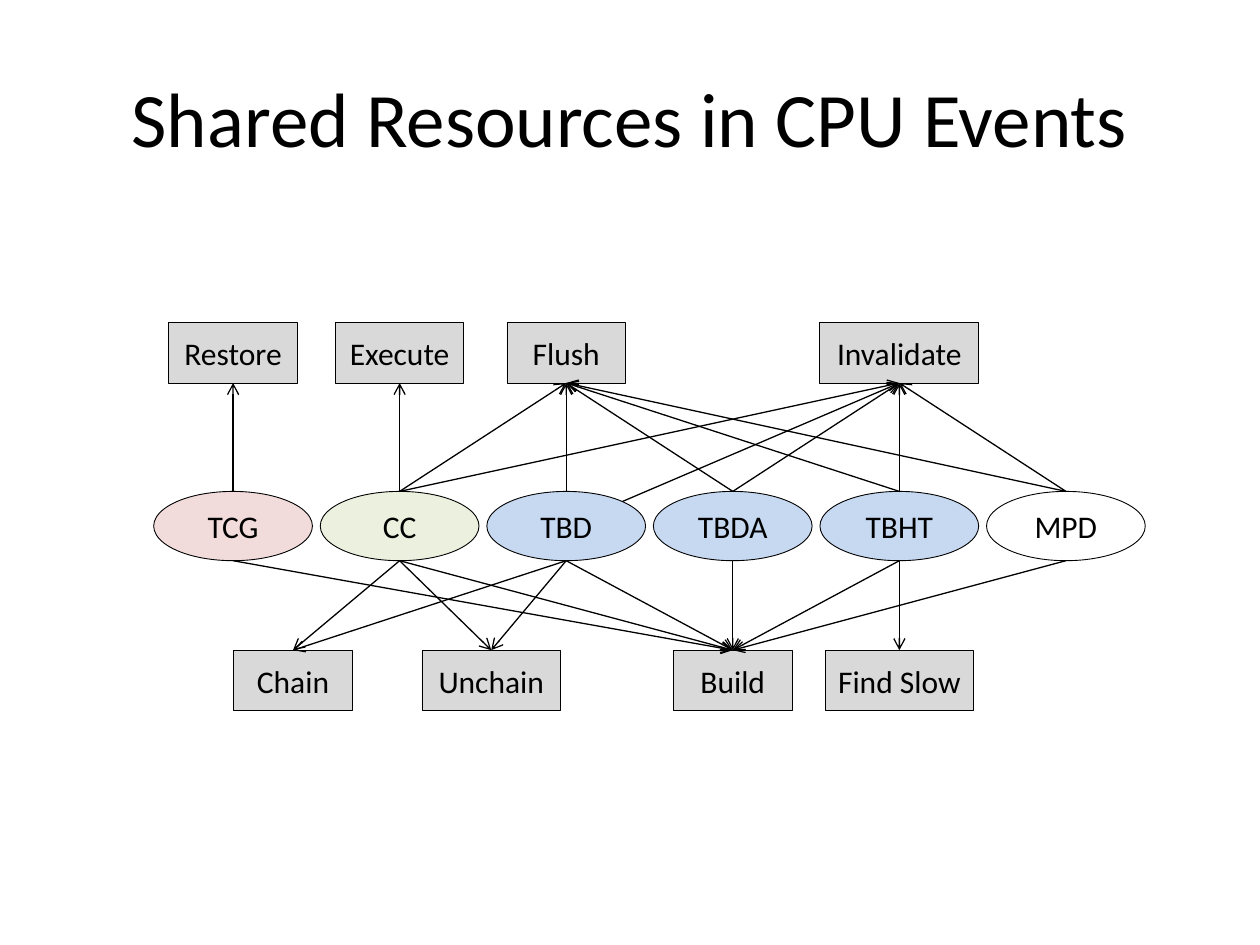
from lxml import etree
from pptx import Presentation
from pptx.dml.color import RGBColor
from pptx.enum.shapes import MSO_CONNECTOR, MSO_SHAPE
from pptx.enum.text import MSO_ANCHOR, PP_ALIGN
from pptx.oxml.ns import qn
from pptx.util import Inches, Pt
from math import sqrt

RECT, OVAL = MSO_SHAPE.RECTANGLE, MSO_SHAPE.OVAL
STRAIGHT = MSO_CONNECTOR.STRAIGHT
MIDDLE = MSO_ANCHOR.MIDDLE
CENTER = PP_ALIGN.CENTER

BLACK = RGBColor(0x00, 0x00, 0x00)
WHITE = RGBColor(0xFF, 0xFF, 0xFF)
GRAY = RGBColor(0xD9, 0xD9, 0xD9)
PINK = RGBColor(0xF2, 0xDC, 0xDB)
GREEN = RGBColor(0xEB, 0xF1, 0xDE)
BLUE = RGBColor(0xC6, 0xD9, 0xF1)

RESOURCES = [("TCG", PINK), ("CC", GREEN), ("TBD", BLUE),
             ("TBDA", BLUE), ("TBHT", BLUE), ("MPD", WHITE)]
UPPER_EVENTS = [("Restore", 0, 1.02), ("Execute", 1, 1.02),
                ("Flush", 2, 0.94), ("Invalidate", 4, 1.26)]
LOWER_EVENTS = [("Chain", 0.36, 0.94), ("Unchain", 1.55, 1.1),
                ("Build", 3, 0.94), ("Find Slow", 4, 1.18)]
USED_BY = {
    "TCG": ["Restore", "Build"],
    "CC": ["Execute", "Flush", "Invalidate", "Chain", "Unchain", "Build"],
    "TBD": ["Flush", "Invalidate", "Chain", "Unchain", "Build"],
    "TBDA": ["Flush", "Invalidate", "Build"],
    "TBHT": ["Flush", "Invalidate", "Build", "Find Slow"],
    "MPD": ["Flush", "Invalidate", "Build"],
}
RIGHT_SHOULDER = {("TBD", "Invalidate")}


def add_text(sp, text, size=18, font="Calibri", color=BLACK, wrap=False):
    tf = sp.text_frame
    tf.word_wrap = wrap
    tf.vertical_anchor = MIDDLE
    p = tf.paragraphs[0]
    p.alignment = CENTER
    r = p.add_run()
    r.text = text
    r.font.size = Pt(size)
    r.font.name = font
    r.font.color.rgb = color


def add_node(s, kind, text, fill, x, y, w, h):
    sp = s.shapes.add_shape(kind, x, y, w, h)
    sp.shadow.inherit = False
    sp.fill.solid()
    sp.fill.fore_color.rgb = fill
    sp.line.color.rgb = BLACK
    sp.line.width = Pt(0.5)
    add_text(sp, text)
    return sp


def add_arrow(s, oval, box, shoulder=False):
    up = box.top < oval.top
    x = oval.left + oval.width // 2
    y = oval.top if up else oval.top + oval.height
    if shoulder:
        x += int(oval.width / 2 / sqrt(2))
        y += int(oval.height / 2 * (1 - 1 / sqrt(2)))
    c = s.shapes.add_connector(STRAIGHT, x, y, x, y)
    if up and not shoulder:
        c.begin_connect(oval, 0)
    c.end_connect(box, 2 if up else 0)
    c.line.color.rgb = BLACK
    c.line.width = Pt(0.75)
    etree.SubElement(c.line._get_or_add_ln(), qn("a:tailEnd"), type="arrow")
    etree.SubElement(c._element.spPr, qn("a:effectLst"))


def add_title(s, x, y, w, h):
    sp = s.shapes.add_textbox(x, y, w, h)
    add_text(sp, "Shared Resources in CPU Events", size=44, wrap=True)


def add_diagram(s, x, y, w, h):
    oval_w, oval_h, box_h = Inches(1.26), Inches(0.55), Inches(0.48)
    pitch = (w - oval_w) / (len(RESOURCES) - 1)

    def center(col):
        return x + oval_w // 2 + int(col * pitch)

    boxes = {}
    for events, top in ((UPPER_EVENTS, y), (LOWER_EVENTS, y + h - box_h)):
        for name, col, width in events:
            box_w = Inches(width)
            boxes[name] = add_node(s, RECT, name, GRAY,
                                   center(col) - box_w // 2, top, box_w, box_h)
    ovals = {}
    for col, (name, fill) in enumerate(RESOURCES):
        ovals[name] = add_node(s, OVAL, name, fill, center(col) - oval_w // 2,
                               y + Inches(1.34), oval_w, oval_h)
    for name, events in USED_BY.items():
        for event in events:
            add_arrow(s, ovals[name], boxes[event], (name, event) in RIGHT_SHOULDER)


def main():
    prs = Presentation()
    prs.slide_width, prs.slide_height = Inches(10), Inches(7.5)
    s = prs.slides.add_slide(prs.slide_layouts[6])
    add_title(s, Inches(0.5), Inches(0.3), Inches(9), Inches(1.25))
    add_diagram(s, Inches(1.22), Inches(2.56), Inches(7.87), Inches(3.08))
    prs.save("out.pptx")


if __name__ == "__main__":
    main()
